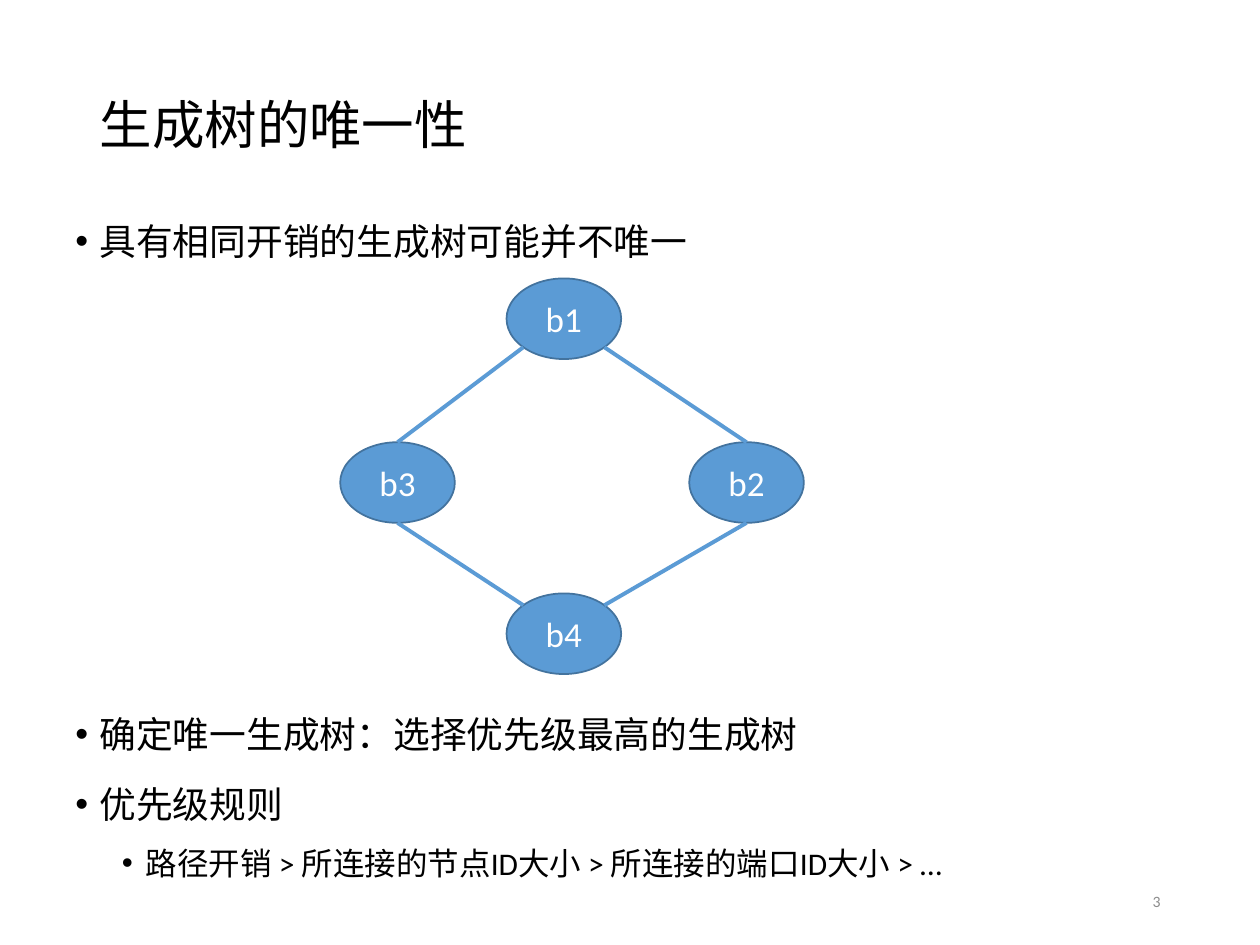
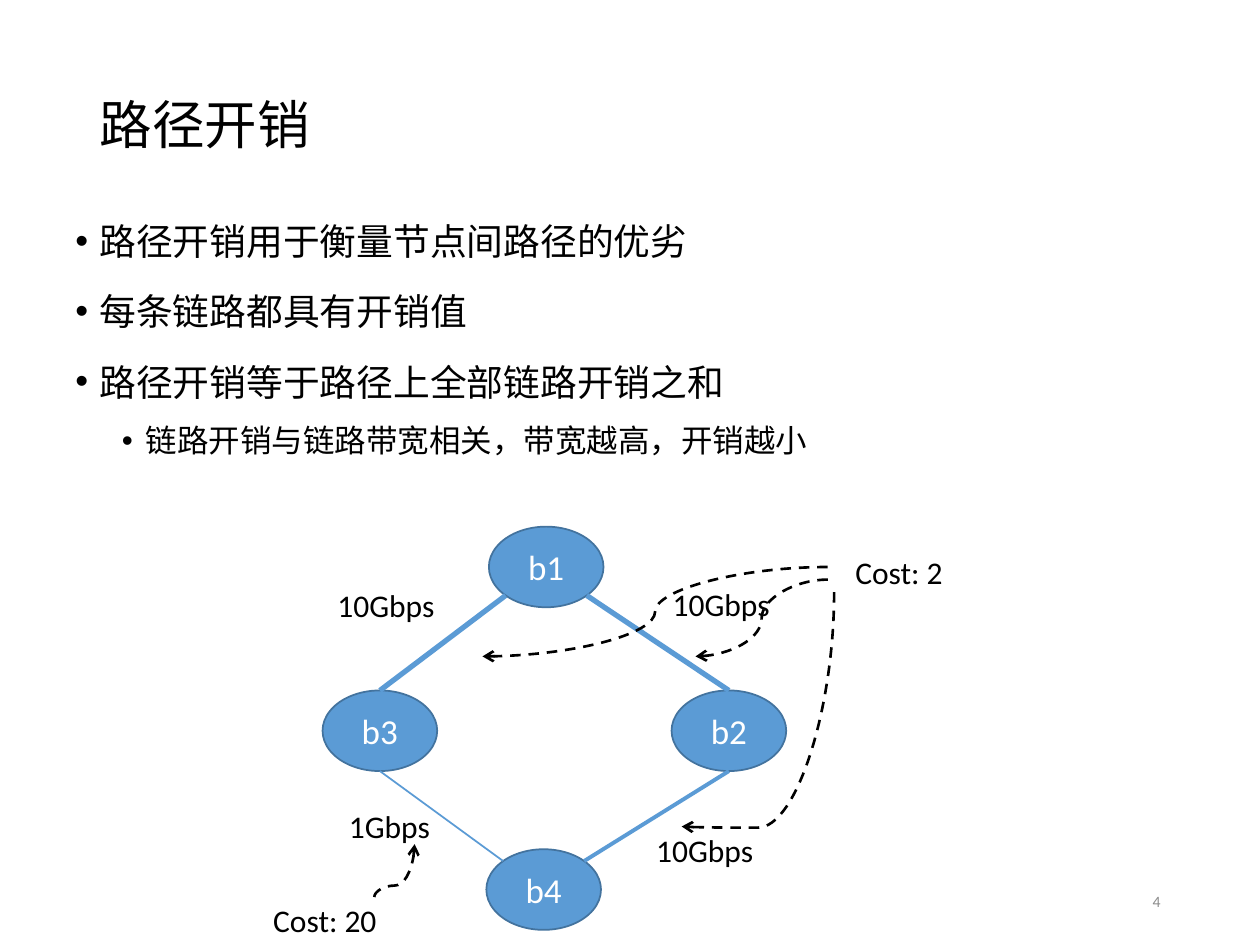
import pptx
import pptx.util
import pptx.dml.color
import pptx.enum.dml
import pptx.enum.shapes
import pptx.enum.text
import pptx.oxml
import pptx.oxml.ns
from lxml import etree

Inches, Pt = pptx.util.Inches, pptx.util.Pt
RGBColor = pptx.dml.color.RGBColor
PP_ALIGN = pptx.enum.text.PP_ALIGN
MSO_ANCHOR = pptx.enum.text.MSO_ANCHOR
MSO_CONNECTOR = pptx.enum.shapes.MSO_CONNECTOR
qn = pptx.oxml.ns.qn

BLACK = RGBColor(0x00, 0x00, 0x00)
WHITE = RGBColor(0xFF, 0xFF, 0xFF)
GREY = RGBColor(0x8C, 0x8C, 0x8C)
NODE_FILL = RGBColor(0x5B, 0x9B, 0xD5)
NODE_EDGE = RGBColor(0x43, 0x73, 0x9E)
FONT = "Calibri"

# Shared text formats
TITLE = {"size": 30, "color": BLACK, "line_spacing": 0.9, "alignment": PP_ALIGN.LEFT}
BULLETS = [
    {"size": 21, "color": BLACK, "line_spacing": 1.3, "space_before": Pt(7.5)},
    {"size": 18, "color": BLACK, "line_spacing": 1.3, "space_before": Pt(3.8), "level": 1},
]
BULLET_INDENTS = [0.19, 0.56]
NODE_TEXT = {"size": 20, "color": WHITE, "alignment": PP_ALIGN.CENTER}
LABEL = {"size": 18, "color": BLACK}
PAGE_NUMBER = {"size": 9, "color": GREY, "alignment": PP_ALIGN.RIGHT}

# Network geometry, relative to the top left of the diagram
NODE_W, NODE_H = 0.91, 0.64
DIAGONAL = 0.5 * 0.5 ** 0.5
ANCHORS = {
    "top": (0.5, 0),
    "bottom": (0.5, 1),
    "lower left": (0.5 - DIAGONAL, 0.5 + DIAGONAL),
    "lower right": (0.5 + DIAGONAL, 0.5 + DIAGONAL),
    "upper left": (0.5 - DIAGONAL, 0.5 - DIAGONAL),
    "upper right": (0.5 + DIAGONAL, 0.5 - DIAGONAL),
}
LINKS = [
    ("b1", "lower left", "b3", "top"),
    ("b1", "lower right", "b2", "top"),
    ("b3", "bottom", "b4", "upper left"),
    ("b2", "bottom", "b4", "upper right"),
]


def write(paragraph, text, style):
    run = paragraph.add_run()
    run.text = text
    run.font.name = FONT
    run.font.size = Pt(style["size"])
    run.font.color.rgb = style["color"]
    for name, value in style.items():
        if name not in ("size", "color"):
            setattr(paragraph, name, value)


def add_text_frame(slide, box, wrap=True, anchor=MSO_ANCHOR.TOP):
    frame = slide.shapes.add_textbox(*map(Inches, box)).text_frame
    frame.word_wrap = wrap
    frame.vertical_anchor = anchor
    return frame


def add_line(slide, kind, start, end, color, width):
    line = slide.shapes.add_connector(kind, *map(Inches, (*start, *end)))
    line.line.color.rgb = color
    line.line.width = Pt(width)
    etree.SubElement(line._element.spPr, qn("a:effectLst"))
    return line


def add_title(slide, text, box):
    title = slide.shapes.title
    for name, value in zip(("left", "top", "width", "height"), box):
        setattr(title, name, Inches(value))
    title.text_frame.vertical_anchor = MSO_ANCHOR.MIDDLE
    write(title.text_frame.paragraphs[0], text, TITLE)


def add_bullets(slide, items, box):
    """Each item is (level, text, space before in points or None)."""
    frame = add_text_frame(slide, box)
    for index, (level, text, gap) in enumerate(items):
        paragraph = frame.add_paragraph() if index else frame.paragraphs[0]
        style = dict(BULLETS[level])
        if gap:
            style["space_before"] = Pt(gap)
        write(paragraph, text, style)
        properties = paragraph._p.get_or_add_pPr()
        properties.set("marL", str(Inches(BULLET_INDENTS[level])))
        properties.set("indent", str(-Inches(BULLET_INDENTS[0])))
        etree.SubElement(properties, qn("a:buFont")).set("typeface", "Arial")
        etree.SubElement(properties, qn("a:buChar")).set("char", "•")


def add_page_number(slide, number, box):
    frame = add_text_frame(slide, box, anchor=MSO_ANCHOR.MIDDLE)
    write(frame.paragraphs[0], str(number), PAGE_NUMBER)


def add_network(slide, origin, b4_offset, link_widths):
    left, top = origin
    offsets = {"b1": (1.32, 0), "b3": (0, 1.3), "b2": (2.77, 1.3), "b4": b4_offset}
    places = {name: (left + x, top + y) for name, (x, y) in offsets.items()}

    # Bridges
    for name, place in places.items():
        node = slide.shapes.add_shape(
            pptx.enum.shapes.MSO_SHAPE.OVAL, *map(Inches, (*place, NODE_W, NODE_H)))
        node.shadow.inherit = False
        node.fill.solid()
        node.fill.fore_color.rgb = NODE_FILL
        node.line.color.rgb = NODE_EDGE
        node.line.width = Pt(1)
        node.text_frame.vertical_anchor = MSO_ANCHOR.MIDDLE
        write(node.text_frame.paragraphs[0], name, NODE_TEXT)

    # Links between them
    def anchor_point(name, side):
        (x, y), (across, down) = places[name], ANCHORS[side]
        return x + across * NODE_W, y + down * NODE_H

    for (first, side, second, other_side), width in zip(LINKS, link_widths):
        add_line(slide, MSO_CONNECTOR.STRAIGHT, anchor_point(first, side),
                 anchor_point(second, other_side), NODE_FILL, width)


def add_pointer(slide, start, end, vertical=False, bend=0.5):
    """Dashed curved arrow; a vertical one leaves its start up or down."""
    if vertical:
        # Lay the curve out sideways about its centre, then turn it by 90 degrees
        mid_x, mid_y = (start[0] + end[0]) / 2, (start[1] + end[1]) / 2
        start, end = [(mid_x + y - mid_y, mid_y - x + mid_x) for x, y in (start, end)]
    pointer = add_line(slide, MSO_CONNECTOR.CURVE, start, end, BLACK, 1.5)
    pointer.line.dash_style = pptx.enum.dml.MSO_LINE.DASH
    properties = pointer._element.spPr
    if vertical:
        properties.find(qn("a:xfrm")).set("rot", str(90 * 60000))
    guide = etree.SubElement(properties.find(qn("a:prstGeom")).find(qn("a:avLst")), qn("a:gd"))
    guide.set("name", "adj1")
    guide.set("fmla", f"val {round(bend * 100000)}")
    etree.SubElement(properties.find(qn("a:ln")), qn("a:tailEnd")).set("type", "arrow")


def add_link_costs(slide, origin):
    left, top = origin

    def at(x, y):
        return left + x, top + y

    # Bandwidth and cost labels
    for text, x, y, width in [
        ("10Gbps", 0.02, 0.42, 0.98),
        ("10Gbps", 2.68, 0.41, 0.98),
        ("1Gbps", 0.11, 2.18, 0.85),
        ("10Gbps", 2.55, 2.37, 0.98),
        ("Cost: 2", 4.13, 0.16, 0.9),
        ("Cost: 20", -0.49, 2.92, 1.03),
    ]:
        frame = add_text_frame(slide, (*at(x, y), width, 0.4), wrap=False)
        write(frame.paragraphs[0], text, LABEL)

    # Pointers from each cost to its links
    add_pointer(slide, at(4.01, 0.32), at(1.27, 1.03))
    add_pointer(slide, at(4.01, 0.42), at(2.96, 1.03))
    add_pointer(slide, at(4.06, 0.52), at(2.85, 2.38), vertical=True, bend=1.005)
    add_pointer(slide, at(0.41, 2.94), at(0.73, 2.52), vertical=True, bend=0.218)


def add_page(deck, number, title, bullets, bullets_height):
    slide = deck.slides.add_slide(deck.slide_layouts[5])
    add_title(slide, title, (0.69, 0.4, 8.62, 1.23))
    add_bullets(slide, bullets, (0.5, 1.58, 9, bullets_height))
    add_page_number(slide, number, (7.06, 6.95, 2.25, 0.4))
    return slide


def build_uniqueness(deck):
    slide = add_page(deck, 3, "生成树的唯一性", [
        (0, "具有相同开销的生成树可能并不唯一", None),
        (0, "确定唯一生成树：选择优先级最高的生成树", 249),
        (0, "优先级规则", None),
        (1, "路径开销 > 所连接的节点ID大小 > 所连接的端口ID大小 > …", None),
    ], 5.51)
    add_network(slide, (2.7, 2.21), (1.32, 2.5), [2.25] * 4)


def build_path_cost(deck):
    slide = add_page(deck, 4, "路径开销", [
        (0, "路径开销用于衡量节点间路径的优劣", None),
        (0, "每条链路都具有开销值", None),
        (0, "路径开销等于路径上全部链路开销之和", None),
        (1, "链路开销与链路带宽相关，带宽越高，开销越小", None),
    ], 2.46)
    origin = (2.56, 4.18)
    add_network(slide, origin, (1.3, 2.56), [3, 3, 1, 2.25])
    add_link_costs(slide, origin)


def main():
    deck = pptx.Presentation()
    deck.slide_width, deck.slide_height = Inches(10), Inches(7.5)
    build_uniqueness(deck)
    build_path_cost(deck)
    deck.save("out.pptx")


if __name__ == "__main__":
    main()
